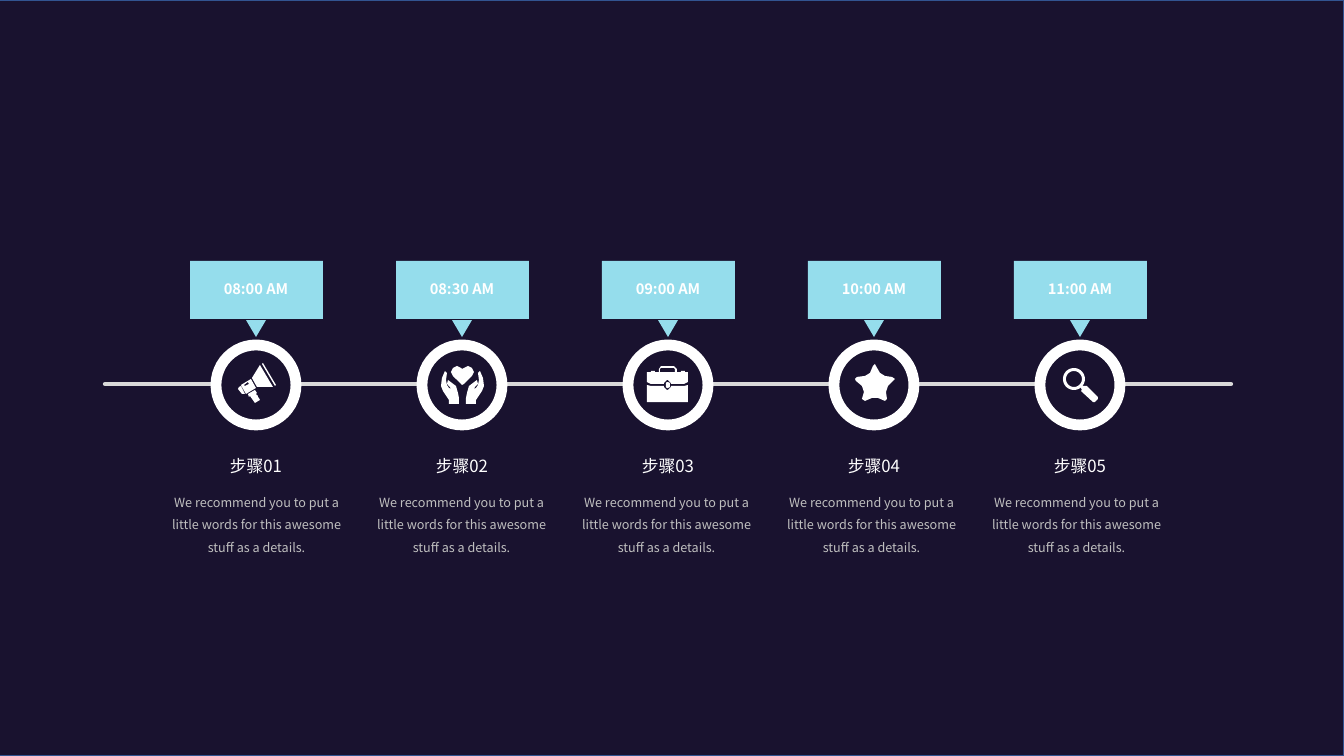
from dataclasses import dataclass
from math import cos, radians, sin

from lxml.etree import SubElement
from pptx import Presentation
from pptx.dml.color import RGBColor
from pptx.enum.shapes import MSO_CONNECTOR as Connector, MSO_SHAPE as Preset
from pptx.enum.text import MSO_AUTO_SIZE as AutoSize, PP_ALIGN as Align
from pptx.oxml.ns import qn
from pptx.shapes.autoshape import Shape
from pptx.shapes.shapetree import SlideShapes
from pptx.util import Emu, Pt

PAGE_WIDTH, PAGE_HEIGHT = 1344, 756
PX = 12192000 / PAGE_WIDTH
GRAIN = 10
STEP_PITCH, DETAIL_PITCH = 206, 205
FIRST_CENTER = 256

NIGHT = RGBColor(0x19, 0x12, 0x2F)
EDGE_BLUE = RGBColor(0x32, 0x54, 0x91)
SKY = RGBColor(0x95, 0xDD, 0xEC)
WHITE = RGBColor(0xFF, 0xFF, 0xFF)
RAIL_GREY = RGBColor(0xD9, 0xD9, 0xD9)
DETAIL_GREY = RGBColor(0xBF, 0xBF, 0xBF)
FONT = "Noto Sans CJK SC"
DETAIL = "We recommend you to put a little words for this awesome stuff as a details."

Contour = list[tuple[float, float]]


@dataclass(frozen=True)
class Frame:
    left: int
    top: int
    width: int
    height: int


@dataclass(frozen=True)
class TextStyle:
    size: float
    color: RGBColor
    bold: bool = False
    spacing: float = 1.0
    inset: bool = True


@dataclass(frozen=True)
class Icon:
    left: int
    top: int
    contours: list[Contour]


@dataclass(frozen=True)
class Step:
    time: str
    title: str
    icon: Icon


TIME_STYLE = TextStyle(10.5, WHITE, bold=True, inset=False)
TITLE_STYLE = TextStyle(12, WHITE)
DETAIL_STYLE = TextStyle(9, DETAIL_GREY, spacing=1.5)


def px(length: float) -> Emu:
    return Emu(round(length * PX))


def circle(x: int, y: int, radius: int) -> Contour:
    return [(x + radius * cos(radians(angle)), y + radius * sin(radians(angle)))
            for angle in range(0, 360, 10)]


LEFT_HAND: Contour = [
    (15, 20), (11, 17), (7, 14), (6, 18), (9, 21), (10, 23), (8, 22), (6, 19), (5, 14), (6, 7),
    (4, 5), (1, 12), (0, 20), (2, 25), (8, 34), (8, 38), (18, 38), (18, 32), (17, 27)]

MEGAPHONE = Icon(238, 363, [
    [(10, 31), (17, 27), (19, 30), (18, 31), (20, 33), (20, 34), (21, 35), (22, 37), (17, 40),
     (12, 33), (11, 34)],
    [(1, 24), (0, 26), (4, 31), (6, 31), (7, 31), (3, 23)],
    [(13, 16), (18, 25), (8, 31), (3, 22)],
    [(10, 19), (6, 22), (7, 23), (11, 21)],
    [(24, 1), (37, 23), (38, 22), (25, 0)],
    [(14, 15), (19, 24), (35, 24), (22, 2)]])
CARING_HANDS = Icon(441, 366, [
    [(31, 10), (23, 18), (21, 19), (20, 18), (12, 10), (10, 6), (12, 2), (16, 0), (20, 2),
     (21, 3), (23, 2), (27, 0), (31, 2), (33, 6)],
    LEFT_HAND,
    [(43 - x, y) for x, y in LEFT_HAND]])
BRIEFCASE = Icon(647, 366, [
    [(37, 20), (41, 19), (41, 36), (0, 36), (0, 19), (4, 20), (17, 20), (17, 21), (20, 24),
     (21, 24), (24, 21), (24, 20)],
    [(41, 6), (41, 16), (37, 18), (24, 18), (24, 17), (21, 14), (20, 14), (17, 17), (17, 18),
     (4, 18), (0, 16), (0, 6), (4, 6), (4, 5), (8, 5), (8, 6), (12, 6), (12, 3), (14, 0),
     (27, 0), (30, 3), (30, 6), (34, 6), (34, 5), (38, 5), (38, 6)],
    [(28, 3), (27, 2), (14, 2), (13, 3), (13, 6), (28, 6)],
    [(21, 22), (23, 21), (23, 17), (21, 16), (20, 16), (19, 17), (19, 21), (20, 22)]])
STAR = Icon(855, 364, [
    [(18, 2), (20, 0), (21, 2), (25, 9), (30, 12), (37, 13), (40, 15), (38, 17), (33, 22),
     (31, 28), (32, 35), (30, 37), (23, 34), (17, 34), (10, 37), (7, 35), (9, 28), (7, 22),
     (1, 17), (0, 15), (2, 13), (10, 12), (15, 9)]])
MAGNIFIER = Icon(1062, 367, [
    circle(12, 12, 11),
    circle(12, 12, 8),
    [(19, 21), (20, 23), (19, 24), (31, 35), (33, 35), (36, 32), (36, 30), (25, 19), (23, 19),
     (21, 19)]])

STEPS = [
    Step("08:00 AM", "步骤01", MEGAPHONE),
    Step("08:30 AM", "步骤02", CARING_HANDS),
    Step("09:00 AM", "步骤03", BRIEFCASE),
    Step("10:00 AM", "步骤04", STAR),
    Step("11:00 AM", "步骤05", MAGNIFIER),
]


def paint(shape: Shape, fill: RGBColor, line: RGBColor | None = None, weight: float = 0) -> None:
    shape.shadow.inherit = False
    shape.fill.solid()
    shape.fill.fore_color.rgb = fill
    if line is None:
        shape.line.fill.background()
    else:
        shape.line.color.rgb = line
        shape.line.width = Pt(weight)


def add_preset(shapes: SlideShapes, preset: Preset, frame: Frame) -> Shape:
    return shapes.add_shape(preset, px(frame.left), px(frame.top), px(frame.width), px(frame.height))


def add_text(shapes: SlideShapes, text: str, frame: Frame, style: TextStyle) -> None:
    box = shapes.add_textbox(px(frame.left), px(frame.top), px(frame.width), px(frame.height))
    body = box.text_frame
    body.word_wrap = True
    body.auto_size = AutoSize.SHAPE_TO_FIT_TEXT
    if not style.inset:
        body.margin_left = body.margin_right = body.margin_top = body.margin_bottom = 0
    para = body.paragraphs[0]
    para.text = text
    para.alignment = Align.CENTER
    para.line_spacing = style.spacing
    para.font.size = Pt(style.size)
    para.font.bold = style.bold
    para.font.color.rgb = style.color
    para.font.name = FONT
    for defaults in box.element.iter(qn("a:defRPr")):
        SubElement(defaults, qn("a:ea")).set("typeface", FONT)


def add_icon(shapes: SlideShapes, icon: Icon) -> None:
    contours = [[(x * GRAIN, y * GRAIN) for x, y in contour] for contour in icon.contours]
    builder = shapes.build_freeform(*contours[0][0], scale=PX / GRAIN)
    for contour in contours:
        builder.move_to(*contour[0])
        builder.add_line_segments(contour[1:], close=True)
    paint(builder.convert_to_shape(px(icon.left), px(icon.top)), WHITE)


def add_rail(shapes: SlideShapes) -> None:
    rail = shapes.add_connector(Connector.STRAIGHT, px(105), px(384), px(1231), px(384))
    rail.line.color.rgb = RAIL_GREY
    rail.line.width = Pt(3)
    properties = rail.element.spPr
    properties.find(qn("a:ln")).set("cap", "rnd")
    SubElement(properties, qn("a:effectLst"))


def add_step(shapes: SlideShapes, index: int, step: Step) -> None:
    center = FIRST_CENTER + index * STEP_PITCH
    paint(add_preset(shapes, Preset.RECTANGLE, Frame(center - 66, 261, 133, 58)), SKY)
    pointer = add_preset(shapes, Preset.ISOSCELES_TRIANGLE, Frame(center - 10, 320, 20, 17))
    pointer.rotation = 180
    paint(pointer, SKY)
    ring = add_preset(shapes, Preset.OVAL, Frame(center - 40, 345, 80, 80))
    paint(ring, NIGHT, WHITE, 7.75)
    add_icon(shapes, step.icon)
    add_text(shapes, step.time, Frame(center - 48, 280, 96, 18), TIME_STYLE)
    add_text(shapes, step.title, Frame(center - 112, 451, 224, 30), TITLE_STYLE)
    add_text(shapes, DETAIL, Frame(160 + index * DETAIL_PITCH, 482, 193, 79), DETAIL_STYLE)


def main() -> None:
    deck = Presentation()
    deck.slide_width, deck.slide_height = px(PAGE_WIDTH), px(PAGE_HEIGHT)
    page = deck.slides.add_slide(deck.slide_layouts[6])
    backdrop = add_preset(page.shapes, Preset.RECTANGLE, Frame(-26, 0, 1370, PAGE_HEIGHT))
    paint(backdrop, NIGHT, EDGE_BLUE, 1)
    add_rail(page.shapes)
    for index, step in enumerate(STEPS):
        add_step(page.shapes, index, step)
    deck.save("out.pptx")


if __name__ == "__main__":
    main()
